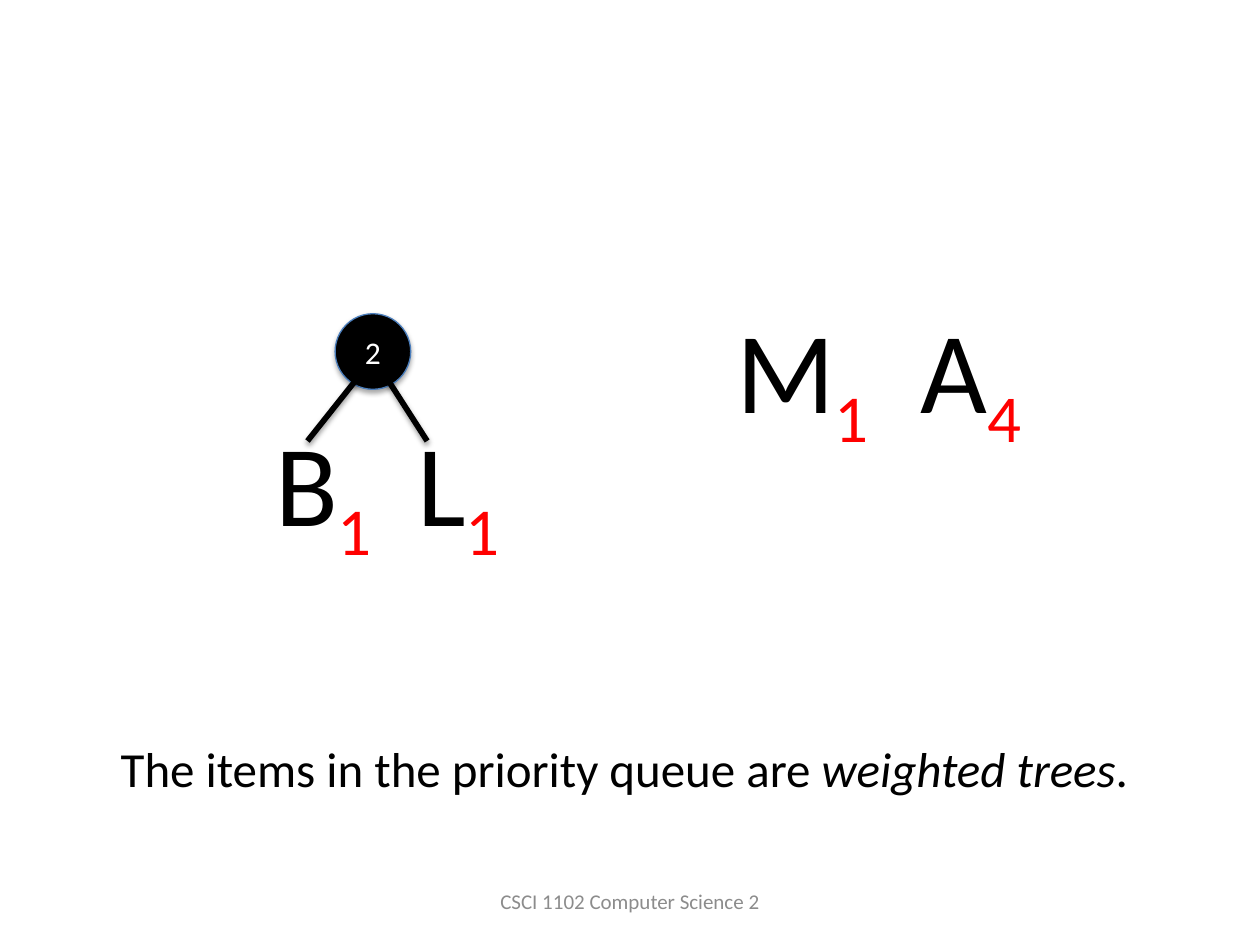
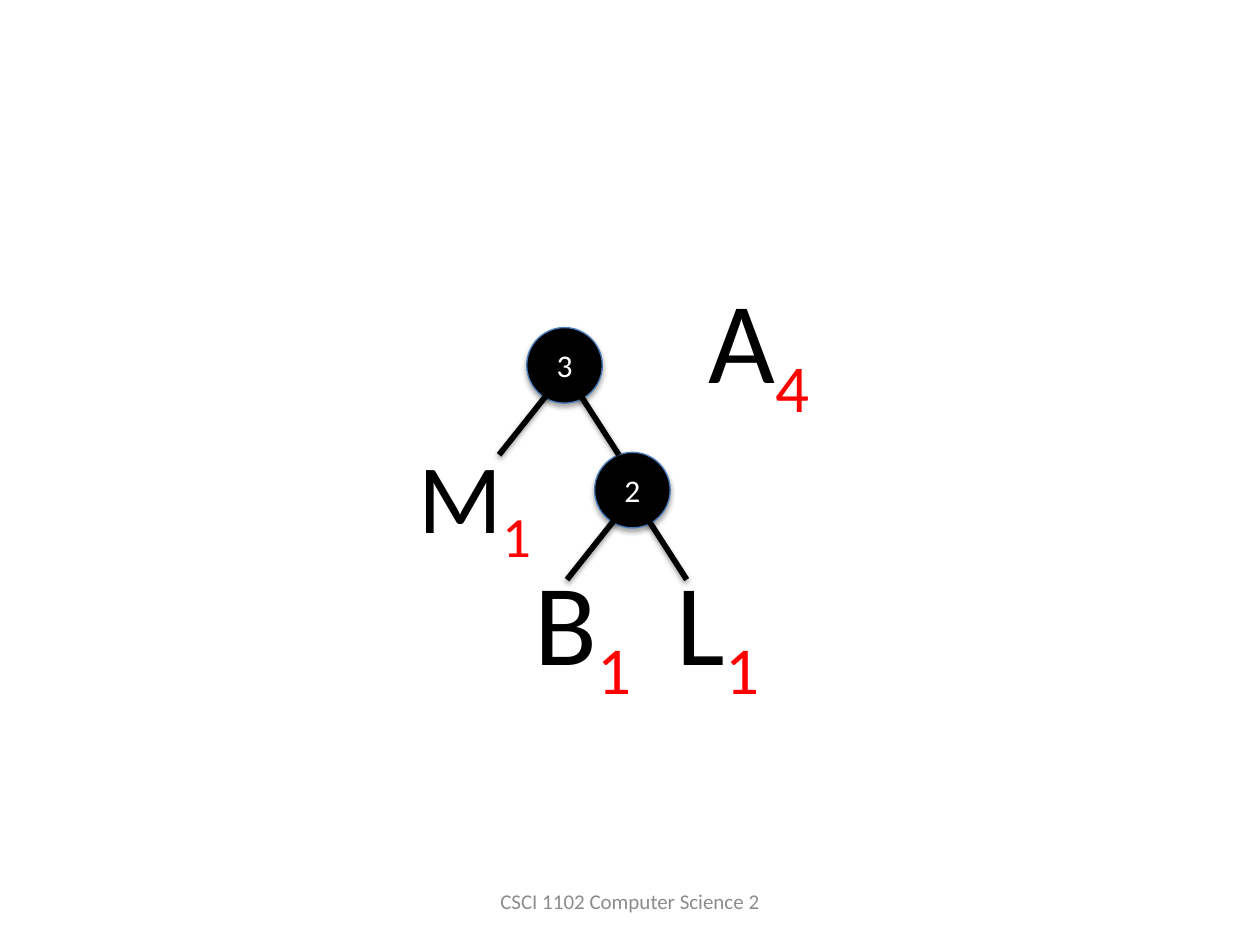
from lxml.etree import SubElement
from pptx import Presentation
from pptx.dml.color import RGBColor
from pptx.enum.shapes import MSO_CONNECTOR, MSO_SHAPE
from pptx.enum.text import MSO_ANCHOR, PP_ALIGN
from pptx.oxml.ns import qn
from pptx.util import Pt

# Shared style
FONT = "Calibri"
BLACK, WHITE, RED = "000000", "FFFFFF", "FF0000"
GREY, OUTLINE = "8C8C8C", "4B7EBC"
NODE_SIZE = 43.2
LABEL_SIZE = 90
CHILD_DROP = 79.2

# Branch ends, relative to the centre of a node
BRANCHES = [((-3.6, 8.6), (-37.4, 51.1)), ((6.5, 13), (31, 51.1))]


def rgb(hex_color):
    return RGBColor.from_string(hex_color)


def add_run(p, text, size=18, color=BLACK, italic=False, baseline=0):
    r = p.add_run()
    r.text = text
    r.font.name = FONT
    r.font.size = Pt(size)
    r.font.italic = italic
    r.font.color.rgb = rgb(color)
    if baseline:
        r.font._element.set("baseline", str(baseline * 1000))


def add_box(slide, x, y, w, h, align=PP_ALIGN.CENTER, anchor=MSO_ANCHOR.MIDDLE):
    """Add a text box and return its first paragraph."""
    tf = slide.shapes.add_textbox(Pt(x), Pt(y), Pt(w), Pt(h)).text_frame
    tf.word_wrap = True
    tf.vertical_anchor = anchor
    p = tf.paragraphs[0]
    p.alignment = align
    return p


def add_shadow(sp, blur, dist, alpha):
    effects = SubElement(sp._element.spPr, qn("a:effectLst"))
    shadow = SubElement(effects, qn("a:outerShdw"), blurRad=str(Pt(blur)),
                        dist=str(Pt(dist)), dir="5400000", rotWithShape="0")
    color = SubElement(shadow, qn("a:srgbClr"), val=BLACK)
    SubElement(color, qn("a:alpha"), val=str(alpha * 1000))


def add_leaf(slide, letter, weight, x, y, size=66):
    """Add a letter with its weight as a subscript, centred on x, y."""
    half = LABEL_SIZE / 2
    p = add_box(slide, x - half, y - half, LABEL_SIZE, LABEL_SIZE)
    add_run(p, letter, size=size)
    add_run(p, weight, size=size, color=RED, baseline=-25)


def add_node(slide, weight, x, y):
    """Add an inner node centred on x, y with its two branches."""
    half = NODE_SIZE / 2
    sp = slide.shapes.add_shape(MSO_SHAPE.OVAL, Pt(x - half), Pt(y - half),
                                Pt(NODE_SIZE), Pt(NODE_SIZE))
    sp.fill.solid()
    sp.fill.fore_color.rgb = rgb(BLACK)
    sp.line.color.rgb = rgb(OUTLINE)
    sp.line.width = Pt(0.75)
    add_shadow(sp, blur=3.1, dist=1.8, alpha=35)
    tf = sp.text_frame
    tf.vertical_anchor = MSO_ANCHOR.MIDDLE
    p = tf.paragraphs[0]
    p.alignment = PP_ALIGN.CENTER
    add_run(p, weight, color=WHITE)

    for (x1, y1), (x2, y2) in BRANCHES:
        branch = slide.shapes.add_connector(
            MSO_CONNECTOR.STRAIGHT, Pt(x + x1), Pt(y + y1), Pt(x + x2), Pt(y + y2))
        branch.line.color.rgb = rgb(BLACK)
        branch.line.width = Pt(3.25)
        add_shadow(branch, blur=3.1, dist=1.6, alpha=38)


def add_bl_tree(slide, x, y):
    """Add the tree of B and L, with its root centred on x, y."""
    add_leaf(slide, "B", "1", x - 28.3, y + CHILD_DROP)
    add_leaf(slide, "L", "1", x + 48.9, y + CHILD_DROP)
    add_node(slide, "2", x, y)


def add_slide(prs):
    slide = prs.slides.add_slide(prs.slide_layouts[6])
    footer = add_box(slide, 246, 500.5, 228, 28.8)
    add_run(footer, "CSCI 1102 Computer Science 2", size=12, color=GREY)
    return slide


def main():
    prs = Presentation()
    prs.slide_width, prs.slide_height = Pt(720), Pt(540)

    # Slide 1: B and L merged
    slide = add_slide(prs)
    add_leaf(slide, "M", "1", 458.5, 215.6)
    add_leaf(slide, "A", "4", 555, 215.6)
    add_bl_tree(slide, 213.1, 200.9)
    caption = add_box(slide, 61.9, 418.3, 596.2, 41,
                      align=PP_ALIGN.LEFT, anchor=MSO_ANCHOR.TOP)
    add_run(caption, "The items in the priority queue are ", size=28)
    add_run(caption, "weighted trees", size=28, italic=True)
    add_run(caption, ".", size=28)

    # Slide 2: M merged with the tree of B and L
    slide = add_slide(prs)
    add_bl_tree(slide, 361.4, 280.1)
    add_leaf(slide, "M", "1", 271.4, 286.9, size=56)
    add_node(slide, "3", 322.6, 208.8)
    add_leaf(slide, "A", "4", 433.7, 198.4)

    prs.save("out.pptx")


if __name__ == "__main__":
    main()
